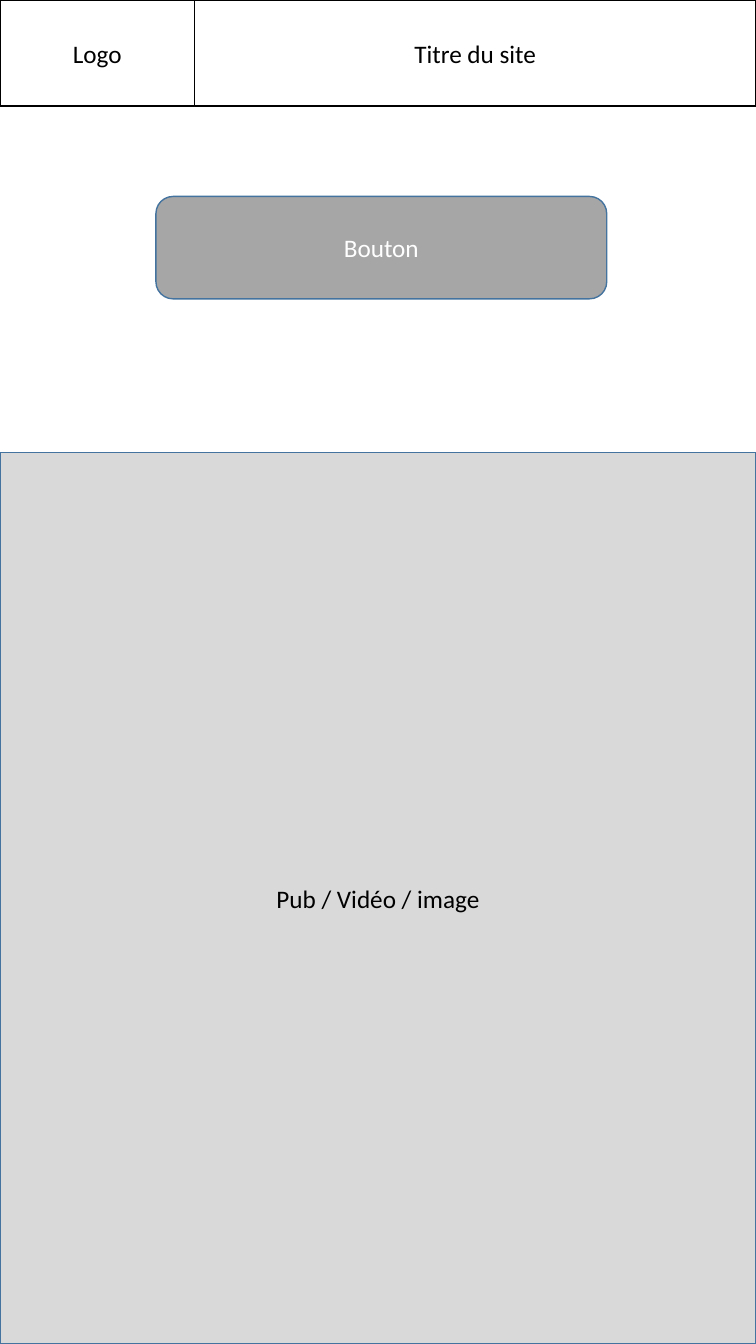
from pptx import Presentation
from pptx import util as u
from pptx.dml.color import RGBColor
from pptx.enum import shapes, text

HEX = {"white": "FFFFFF", "black": "000000", "grey": "A6A6A6",
       "pale": "D9D9D9", "blue": "43739E"}
FONT = "Calibri"
WIDE, HIGH = u.Cm(19.05), u.Cm(33.86)
RECT = shapes.MSO_SHAPE.RECTANGLE
ROUND = shapes.MSO_SHAPE.ROUNDED_RECTANGLE


def tint(name):
    return RGBColor.from_string(HEX[name])


def add_box(slide, label, place, fill, line, ink="black", kind=RECT):
    """Add an outlined block with a centred label."""
    box = slide.shapes.add_shape(kind, *place)
    box.shadow.inherit = False
    box.fill.solid()
    box.fill.fore_color.rgb = tint(fill)
    box.line.color.rgb = tint(line)
    box.line.width = u.Pt(1)

    frame = box.text_frame
    frame.text = label
    frame.word_wrap = True
    frame.vertical_anchor = text.MSO_ANCHOR.MIDDLE
    para = frame.paragraphs[0]
    para.alignment = text.PP_ALIGN.CENTER
    font = para.runs[0].font
    font.name, font.size = FONT, u.Pt(18)
    font.color.rgb = tint(ink)


def main():
    deck = Presentation()
    deck.slide_width, deck.slide_height = WIDE, HIGH
    slide = deck.slides.add_slide(deck.slide_layouts[6])

    # Header: logo cell and site title share one row
    logo, head = u.Cm(4.9), u.Cm(2.67)
    add_box(slide, "Logo", (0, 0, logo, head), "white", "black")
    add_box(slide, "Titre du site", (logo, 0, WIDE - logo, head),
            "white", "black")

    # Button
    place = [u.Cm(n) for n in (3.93, 4.95, 11.36, 2.58)]
    add_box(slide, "Bouton", place, "grey", "blue", "white", ROUND)

    # Media area fills the page down to the bottom edge
    top = u.Cm(11.4)
    add_box(slide, "Pub / Vidéo / image", (0, top, WIDE, HIGH - top),
            "pale", "blue")

    deck.save("out.pptx")


main()
